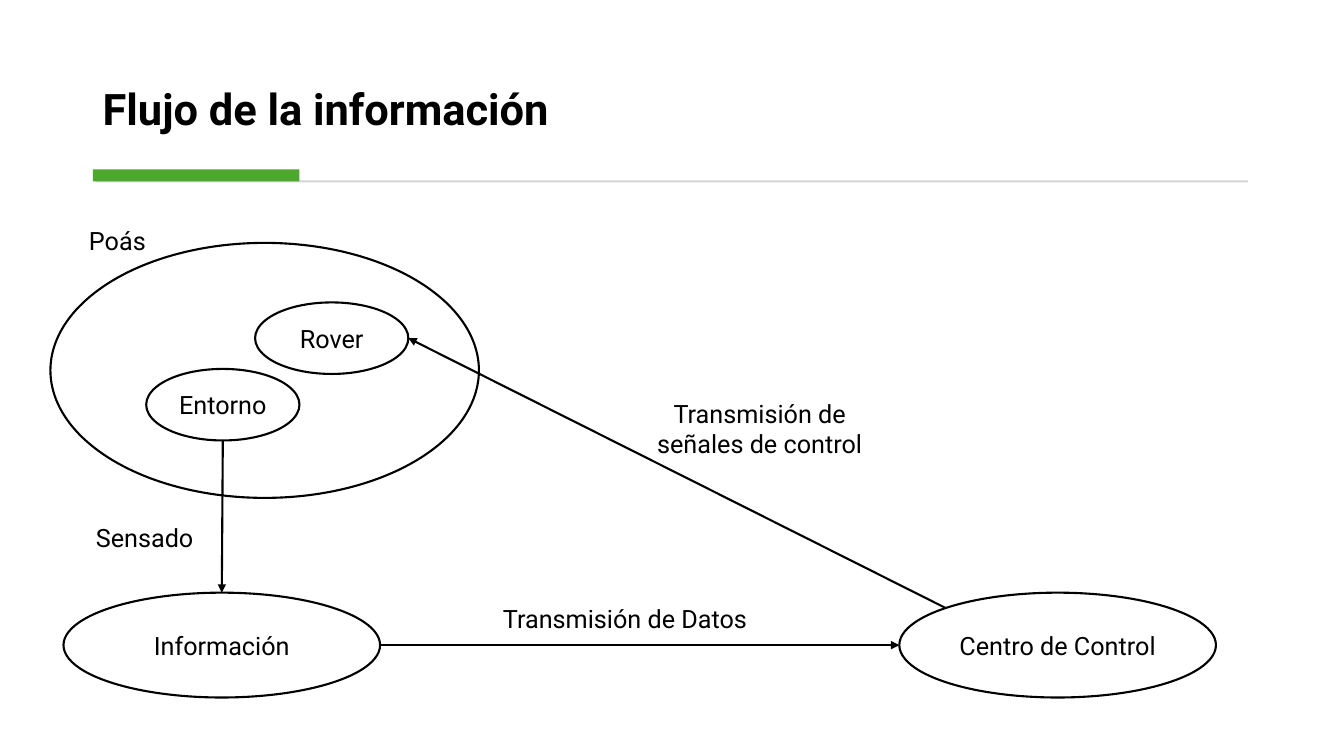
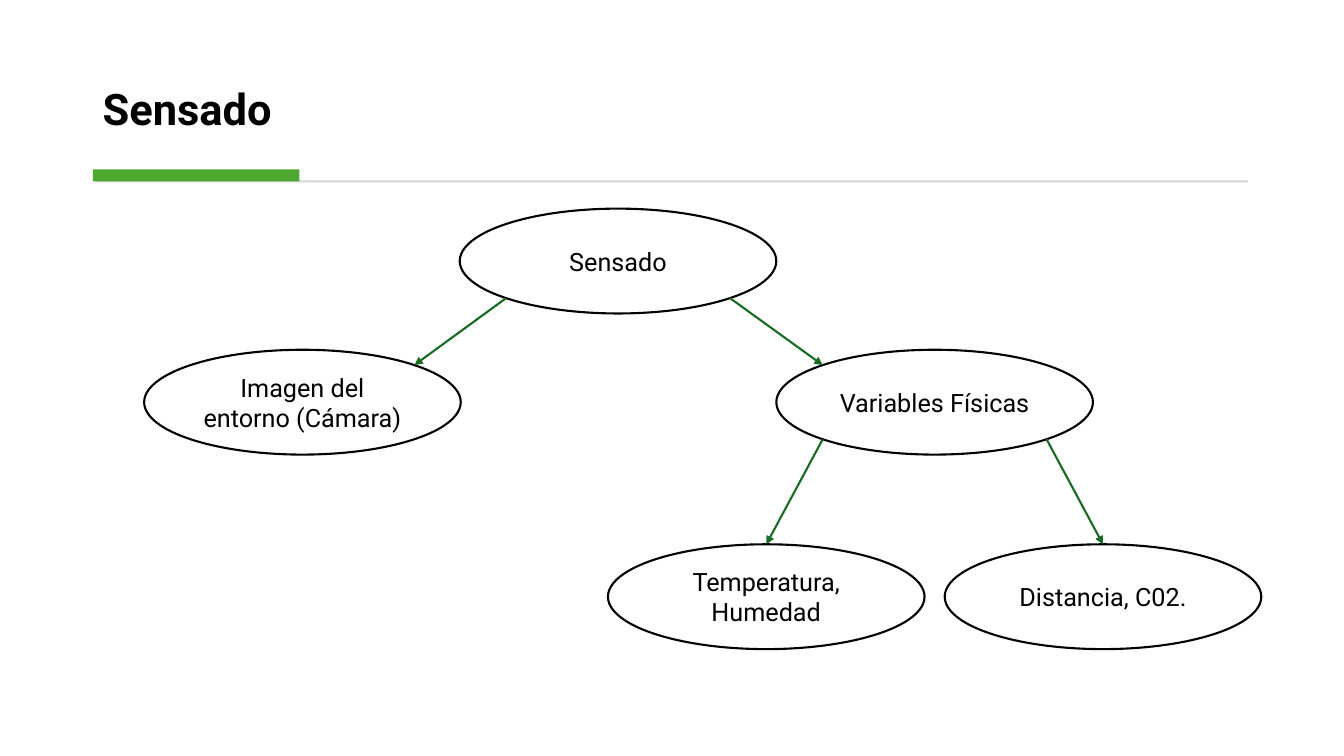
"""Build two slides: the information flow and the sensing tree."""
import math
from lxml import etree
from pptx import Presentation, util as u
from pptx.dml.color import RGBColor
from pptx.enum import shapes, text
from pptx.oxml.ns import qn

PX = 9144
BLACK, GREEN, DARK_GREEN, GREY = "000000", "4EA72E", "196B24", "D5D5D5"
FONT = "Roboto"
BIG, SMALL = (314, 104), (152, 71)
TOP, TOP_LEFT, LEFT, BOTTOM_LEFT, BOTTOM, BOTTOM_RIGHT, RIGHT, TOP_RIGHT = range(8)
rgb = RGBColor.from_string


def write(sp, content, size=18, bold=False, align="CENTER", anchor="MIDDLE", spacing=None):
    tf = sp.text_frame
    tf.word_wrap = True
    tf.vertical_anchor = text.MSO_ANCHOR[anchor]
    p = tf.paragraphs[0]
    p.alignment = text.PP_ALIGN[align]
    p.line_spacing = spacing
    r = p.add_run()
    r.text = content
    r.font.name, r.font.size, r.font.bold = FONT, u.Pt(size), bold
    r.font.color.rgb = rgb(BLACK)


def arrow(s, start, start_site, end, end_site, color):
    points = []
    for sp, site in ((start, start_site), (end, end_site)):
        angle = math.radians(90 + 45 * site)
        points.append(round(sp.left + sp.width / 2 * (1 + math.cos(angle))))
        points.append(round(sp.top + sp.height / 2 * (1 - math.sin(angle))))
    c = s.shapes.add_connector(shapes.MSO_CONNECTOR.STRAIGHT, *points)
    joints = c.element.find(".//" + qn("p:cNvCxnSpPr"))
    for tag, sp, site in (("a:stCxn", start, start_site), ("a:endCxn", end, end_site)):
        etree.SubElement(joints, qn(tag), id=str(sp.shape_id), idx=str(site))
    c.line.color.rgb = rgb(color)
    c.line.width = u.Pt(1.5)
    etree.SubElement(c.line._get_or_add_ln(), qn("a:tailEnd"), type="triangle")
    etree.SubElement(c.element.spPr, qn("a:effectLst"))


SLIDES = [
    {
        "title": "Flujo de la información",
        "arrow_color": BLACK,
        "ellipses": [
            ("Entorno", 145, 366, SMALL),
            ("Información", 63, 588, BIG),
            ("Centro de Control", 892, 588, BIG),
            ("", 50, 241, (425, 253)),
            ("Rover", 253, 300, SMALL),
        ],
        "labels": [
            ("Sensado", 67, 513, 153, 40, "CENTER"),
            ("Poás", 63, 219, 107, 40, "CENTER"),
            ("Transmisión de señales de control", 627, 390, 253, 71, "CENTER"),
            ("Transmisión de Datos", 489, 594, 268, 40, "LEFT"),
        ],
        "arrows": [
            ("Entorno", BOTTOM, "Información", TOP),
            ("Información", RIGHT, "Centro de Control", LEFT),
            ("Centro de Control", TOP_LEFT, "Rover", RIGHT),
        ],
    },
    {
        "title": "Sensado",
        "arrow_color": DARK_GREEN,
        "ellipses": [
            ("Sensado", 456, 207, BIG),
            ("Imagen del entorno (Cámara)", 143, 347, BIG),
            ("Variables Físicas", 770, 347, BIG),
            ("Temperatura, Humedad", 603, 540, BIG),
            ("Distancia, C02.", 937, 540, BIG),
        ],
        "labels": [],
        "arrows": [
            ("Sensado", BOTTOM_LEFT, "Imagen del entorno (Cámara)", TOP_RIGHT),
            ("Sensado", BOTTOM_RIGHT, "Variables Físicas", TOP_LEFT),
            ("Variables Físicas", BOTTOM_LEFT, "Temperatura, Humedad", TOP),
            ("Variables Físicas", BOTTOM_RIGHT, "Distancia, C02.", TOP),
        ],
    },
]
BANDS = [(95, 179, 1143, 2, GREY), (92, 168, 205, 12, GREEN)]

prs = Presentation()
prs.slide_width, prs.slide_height = 1333 * PX, 750 * PX

for slide in SLIDES:
    s = prs.slides.add_slide(prs.slide_layouts[6])
    title = s.shapes.add_textbox(92 * PX, 28 * PX, 1149 * PX, 111 * PX)
    write(title, slide["title"], size=31, bold=True, align="LEFT", anchor="BOTTOM", spacing=0.9)

    for x, y, w, h, color in BANDS:
        sp = s.shapes.add_shape(shapes.MSO_SHAPE.RECTANGLE, x * PX, y * PX, w * PX, h * PX)
        sp.shadow.inherit = False
        sp.fill.solid()
        sp.fill.fore_color.rgb = rgb(color)
        sp.line.fill.background()

    nodes = {}
    for name, x, y, (w, h) in slide["ellipses"]:
        sp = s.shapes.add_shape(shapes.MSO_SHAPE.OVAL, x * PX, y * PX, w * PX, h * PX)
        sp.shadow.inherit = False
        sp.fill.background()
        sp.line.color.rgb = rgb(BLACK)
        sp.line.width = u.Pt(1.5)
        if name:
            write(sp, name)
            nodes[name] = sp

    for label, x, y, w, h, align in slide["labels"]:
        sp = s.shapes.add_textbox(x * PX, y * PX, w * PX, h * PX)
        write(sp, label, align=align, anchor="TOP")

    for start, start_site, end, end_site in slide["arrows"]:
        arrow(s, nodes[start], start_site, nodes[end], end_site, slide["arrow_color"])

prs.save("out.pptx")
